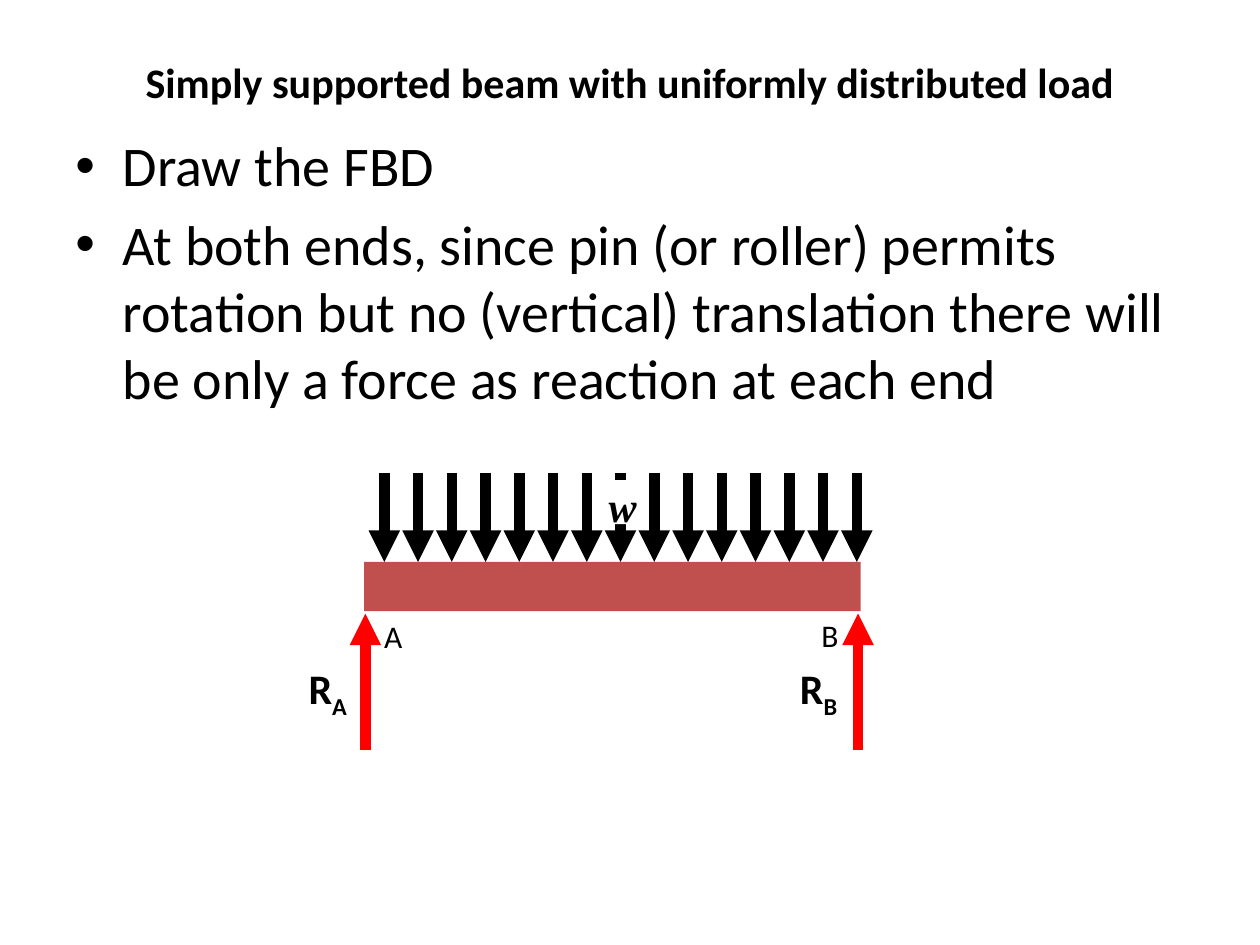
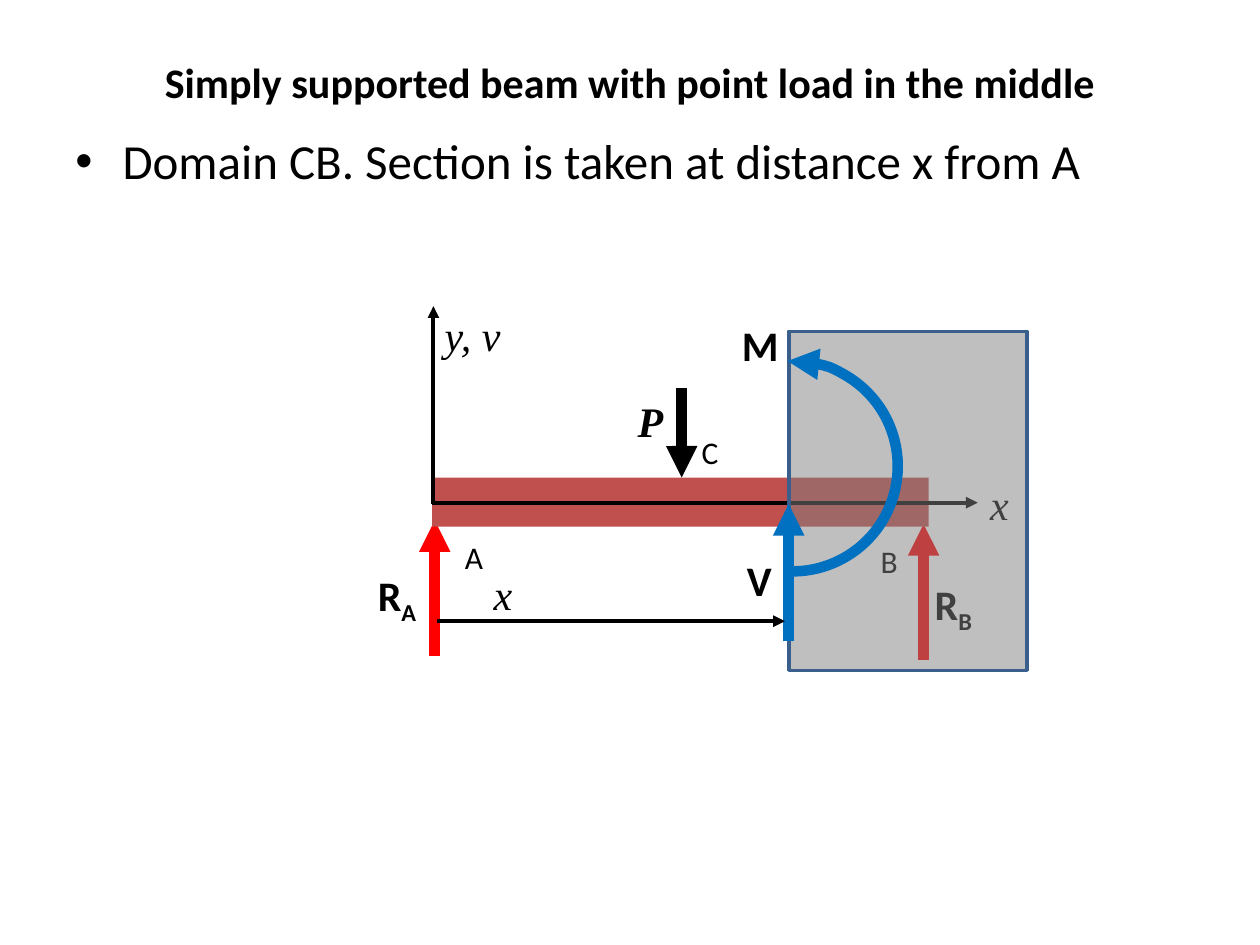
from dataclasses import dataclass
from functools import singledispatch

from lxml import etree
from pptx import Presentation
from pptx import util as u
from pptx.dml.color import RGBColor
from pptx.enum import shapes, text
from pptx.oxml.ns import qn

WIDTH, HEIGHT = u.Inches(10), u.Inches(7.5)
COLUMNS, ROWS = 100, 75
COLORS = {
    "ink": "000000",
    "paper": "FFFFFF",
    "beam": "C0504D",
    "reaction": "FF0000",
    "internal": "0070C0",
    "cut": "808080",
    "cut_edge": "3A5F8C",
}
THICK, THIN = 6, 2.25
BEAM_WIDTH, BEAM_HEIGHT = 39.4, 3.9


@dataclass(frozen=True)
class TextStyle:
    size: float
    font: str = "Calibri"
    bold: bool = False
    italic: bool = False


TITLE = TextStyle(24, bold=True)
POINT = TextStyle(18)
FORCE = TextStyle(24, bold=True)
AXIS = TextStyle(24, "Times New Roman", italic=True)
LOAD = TextStyle(24, "Times New Roman", bold=True, italic=True)


@dataclass(frozen=True)
class Label:
    left: float
    top: float
    words: str
    style: TextStyle = POINT
    subscript: str = ""
    width: float = 5.9
    height: float = 5


@dataclass(frozen=True)
class LoadTag:
    left: float
    top: float
    words: str
    height: float


@dataclass(frozen=True)
class Block:
    left: float
    top: float
    width: float = BEAM_WIDTH
    height: float = BEAM_HEIGHT
    fill: str = "beam"
    edge: str = ""
    opacity: int = 100


@dataclass(frozen=True)
class Arrow:
    start: tuple[float, float]
    end: tuple[float, float]
    color: str = "ink"
    weight: float = THICK


@dataclass(frozen=True)
class MomentArc:
    center: tuple[float, float]
    radius: float
    start_angle: float
    end_angle: float
    color: str = "internal"


def across(columns: float) -> int:
    return round(WIDTH * columns / COLUMNS)


def down(rows: float) -> int:
    return round(HEIGHT * rows / ROWS)


def frame(left: float, top: float, width: float, height: float) -> tuple:
    return across(left), down(top), across(width), down(height)


def color_of(name: str) -> RGBColor:
    return RGBColor.from_string(COLORS[name])


def style_paragraph(para, style: TextStyle) -> None:
    para.font.name = style.font
    para.font.size = u.Pt(style.size)
    para.font.bold = style.bold
    para.font.italic = style.italic
    para.font.color.rgb = color_of("ink")


def add_text_box(page, left: float, top: float, width: float, height: float):
    box = page.shapes.add_textbox(*frame(left, top, width, height))
    box.text_frame.word_wrap = True
    return box


def style_line(line, color: str, weight: float, arrow_end: str = "") -> None:
    line.color.rgb = color_of(color)
    line.width = u.Pt(weight)
    if arrow_end:
        etree.SubElement(line._get_or_add_ln(), qn(f"a:{arrow_end}"), type="triangle")


@singledispatch
def draw(item, page) -> None:
    raise TypeError(item)


@draw.register
def _(item: Label, page) -> None:
    box = add_text_box(page, item.left, item.top, item.width, item.height)
    para = box.text_frame.paragraphs[0]
    para.add_run().text = item.words
    if item.subscript:
        span = para.add_run()
        span.text = item.subscript
        span._r.get_or_add_rPr().set("baseline", "-25000")
    style_paragraph(para, item.style)


@draw.register
def _(item: LoadTag, page) -> None:
    box = add_text_box(page, item.left, item.top, 3.5, item.height)
    box.fill.solid()
    box.fill.fore_color.rgb = color_of("paper")
    words = box.text_frame
    words.margin_top = words.margin_right = words.margin_bottom = 0
    words.margin_left = across(0.8)
    para = words.paragraphs[0]
    para.text = item.words
    style_paragraph(para, LOAD)


@draw.register
def _(item: Block, page) -> None:
    block = page.shapes.add_shape(
        shapes.MSO_SHAPE.RECTANGLE,
        *frame(item.left, item.top, item.width, item.height),
    )
    block.shadow.inherit = False
    block.fill.solid()
    block.fill.fore_color.rgb = color_of(item.fill)
    if item.opacity < 100:
        tint = block._element.spPr.find(qn("a:solidFill"))[0]
        etree.SubElement(tint, qn("a:alpha"), val=str(item.opacity * 1000))
    if item.edge:
        style_line(block.line, item.edge, 2)
    else:
        block.line.fill.background()


@draw.register
def _(item: Arrow, page) -> None:
    (x1, y1), (x2, y2) = item.start, item.end
    arrow = page.shapes.add_connector(
        shapes.MSO_CONNECTOR.STRAIGHT, across(x1), down(y1), across(x2), down(y2)
    )
    style_line(arrow.line, item.color, item.weight, "tailEnd")
    etree.SubElement(arrow._element.spPr, qn("a:effectLst"))


@draw.register
def _(item: MomentArc, page) -> None:
    x, y = item.center
    size = 2 * item.radius
    arc = page.shapes.add_shape(
        shapes.MSO_SHAPE.ARC, *frame(x - item.radius, y - item.radius, size, size)
    )
    arc.adjustments[0] = item.start_angle * 0.6
    arc.adjustments[1] = item.end_angle * 0.6
    arc.shadow.inherit = False
    arc.fill.background()
    style_line(arc.line, item.color, THICK, "headEnd")


def add_title(page, words: str) -> None:
    box = add_text_box(page, 5, 3, 90, 6.9)
    box.text_frame.vertical_anchor = text.MSO_ANCHOR.MIDDLE
    para = box.text_frame.paragraphs[0]
    para.text = words
    para.alignment = text.PP_ALIGN.CENTER
    style_paragraph(para, TITLE)


def add_bullets(page, lines: list[str], size: float) -> None:
    words = add_text_box(page, 5, 9.9, 90, 57.1).text_frame
    for index, line in enumerate(lines):
        para = words.add_paragraph() if index else words.paragraphs[0]
        para.text = line
        if index:
            para.space_before = u.Pt(size * 0.2)
        properties = para._p.get_or_add_pPr()
        properties.set("marL", str(across(3.75)))
        properties.set("indent", str(-across(3.75)))
        etree.SubElement(properties, qn("a:buFont"), typeface="Arial")
        etree.SubElement(properties, qn("a:buChar"), char="•")
        style_paragraph(para, TextStyle(size))


def add_page(deck, title: str, lines: list[str], size: float, diagram: list) -> None:
    page = deck.slides.add_slide(deck.slide_layouts[6])
    add_title(page, title)
    add_bullets(page, lines, size)
    for item in diagram:
        draw(item, page)


def reaction(x: float, bottom: float) -> Arrow:
    return Arrow((x, bottom), (x, bottom - 10.8), "reaction")


def point_load(x: float, beam_top: float) -> Arrow:
    return Arrow((x, beam_top - 7.1), (x, beam_top))


def distributed_load_diagram() -> list:
    beam_top, count, first, last = 44.6, 15, 30.5, 68
    step = (last - first) / (count - 1)
    return [
        Block(28.9, beam_top),
        Label(29.5, 48.5, "A"),
        Label(64.2, 48.4, "B"),
        *(point_load(first + step * index, beam_top) for index in range(count)),
        LoadTag(47.5, 38.1, "w", 3.5),
        reaction(29, 59.5),
        Label(23.5, 52.1, "R", FORCE, "A"),
        reaction(68.1, 59.5),
        Label(62.5, 52.1, "R", FORCE, "B"),
    ]


def section_diagram() -> list:
    beam_left, beam_top, cut = 34.3, 37.9, 62.6
    axis_row = beam_top + 2
    return [
        Label(beam_left, 24.1, "y, v", AXIS, width=7.9),
        Label(77.6, 37.5, "x", AXIS),
        reaction(34.5, 52.1),
        Label(29, 44.7, "R", FORCE, "A"),
        reaction(73.3, 52.4),
        Label(73.2, 45.4, "R", FORCE, "B"),
        Block(beam_left, beam_top),
        Label(35.9, 42.2, "A"),
        Label(68.9, 42.5, "B"),
        point_load(54.1, beam_top),
        LoadTag(49.8, 31.4, "P", 4),
        Label(54.7, 33.9, "C"),
        Arrow((34.4, 40), (34.4, 24.3), weight=THIN),
        Arrow((beam_left, axis_row), (77.6, axis_row), weight=THIN),
        Block(cut, 26.3, 18.9, 26.9, "cut", "cut_edge", 50),
        Arrow((cut, 50.9), (cut, 40), "internal"),
        MomentArc((62.9, 37), 8.35, 267.3, 90.5),
        Label(58.3, 43.5, "V", FORCE),
        Label(57.9, 24.9, "M", FORCE, width=6.3),
        Arrow((34.7, 49.3), (62.3, 49.3), weight=THIN),
        Label(38.2, 44.6, "x", AXIS),
    ]


def main() -> None:
    deck = Presentation()
    deck.slide_width, deck.slide_height = WIDTH, HEIGHT
    add_page(
        deck,
        "Simply supported beam with uniformly distributed load",
        [
            "Draw the FBD",
            "At both ends, since pin (or roller) permits rotation but no (vertical) "
            "translation there will be only a force as reaction at each end",
        ],
        32,
        distributed_load_diagram(),
    )
    add_page(
        deck,
        "Simply supported beam with point load in the middle",
        ["Domain CB. Section is taken at distance x from A"],
        28,
        section_diagram(),
    )
    deck.save("out.pptx")


if __name__ == "__main__":
    main()
